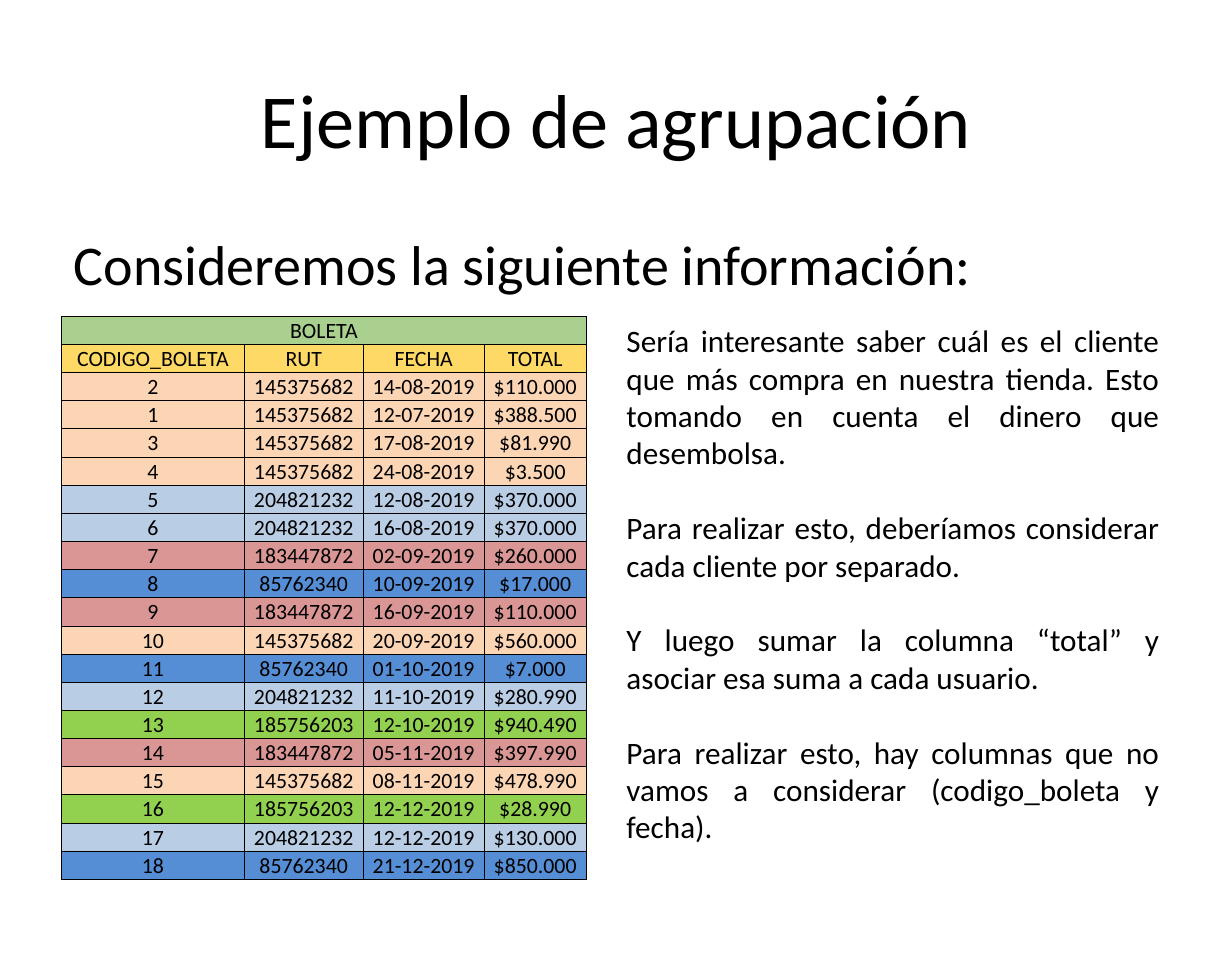
from lxml import etree
from pptx import Presentation
from pptx.dml.color import RGBColor
from pptx.enum.text import MSO_ANCHOR, MSO_AUTO_SIZE, PP_ALIGN
from pptx.oxml.ns import qn
from pptx.util import Inches, Pt

CENTER, JUSTIFY, LEFT = PP_ALIGN.CENTER, PP_ALIGN.JUSTIFY, PP_ALIGN.LEFT
MIDDLE, TOP = MSO_ANCHOR.MIDDLE, MSO_ANCHOR.TOP
NO_AUTOFIT = MSO_AUTO_SIZE.NONE

FONT = "Calibri"
BLACK = RGBColor(0x00, 0x00, 0x00)
TITLE_GREEN = RGBColor(0xA9, 0xD0, 0x8E)
HEADER_YELLOW = RGBColor(0xFF, 0xD9, 0x66)
PEACH = RGBColor(0xFC, 0xD5, 0xB5)
PALE_BLUE = RGBColor(0xB9, 0xCD, 0xE5)
ROSE = RGBColor(0xD9, 0x96, 0x94)
BLUE = RGBColor(0x55, 0x8E, 0xD5)
GREEN = RGBColor(0x92, 0xD0, 0x50)

TITLE = "Ejemplo de agrupación"
INTRO = "Consideremos la siguiente información:"
NOTES = [
    "Sería interesante saber cuál es el cliente que más compra en nuestra tienda. "
    "Esto tomando en cuenta el dinero que desembolsa.",
    "Para realizar esto, deberíamos considerar cada cliente por separado.",
    "Y luego sumar la columna “total” y asociar esa suma a cada usuario.",
    "Para realizar esto, hay columnas que no vamos a considerar (codigo_boleta y fecha).",
]
TABLE_TITLE = "BOLETA"
HEADERS = ("CODIGO_BOLETA", "RUT", "FECHA", "TOTAL")
RECEIPTS = [
    ("2", "145375682", "14-08-2019", "$110.000"),
    ("1", "145375682", "12-07-2019", "$388.500"),
    ("3", "145375682", "17-08-2019", "$81.990"),
    ("4", "145375682", "24-08-2019", "$3.500"),
    ("5", "204821232", "12-08-2019", "$370.000"),
    ("6", "204821232", "16-08-2019", "$370.000"),
    ("7", "183447872", "02-09-2019", "$260.000"),
    ("8", "85762340", "10-09-2019", "$17.000"),
    ("9", "183447872", "16-09-2019", "$110.000"),
    ("10", "145375682", "20-09-2019", "$560.000"),
    ("11", "85762340", "01-10-2019", "$7.000"),
    ("12", "204821232", "11-10-2019", "$280.990"),
    ("13", "185756203", "12-10-2019", "$940.490"),
    ("14", "183447872", "05-11-2019", "$397.990"),
    ("15", "145375682", "08-11-2019", "$478.990"),
    ("16", "185756203", "12-12-2019", "$28.990"),
    ("17", "204821232", "12-12-2019", "$130.000"),
    ("18", "85762340", "21-12-2019", "$850.000"),
]
CLIENT_COLORS = {
    "145375682": PEACH,
    "204821232": PALE_BLUE,
    "183447872": ROSE,
    "85762340": BLUE,
    "185756203": GREEN,
}
COLUMN_WIDTHS = (1.63, 1.06, 1.08, 0.91)
TABLE_HEIGHT = 5.03


def write(para, text, size, align):
    para.alignment = align
    span = para.add_run()
    span.text = text
    span.font.name = FONT
    span.font.size = Pt(size)
    span.font.color.rgb = BLACK


def fill_placeholder(box, place, text, size, align, anchor):
    box.left, box.top, box.width, box.height = map(Inches, place)
    frame = box.text_frame
    frame.auto_size = NO_AUTOFIT
    frame.vertical_anchor = anchor
    frame.margin_left = frame.margin_right = Inches(0.11)
    frame.margin_top = frame.margin_bottom = Inches(0.06)
    para = frame.paragraphs[0]
    para.space_before = Pt(0)
    write(para, text, size, align)
    return para


def remove_bullet(para):
    properties = para._p.get_or_add_pPr()
    properties.set("marL", "0")
    properties.set("indent", "0")
    etree.SubElement(properties, qn("a:buNone"))


def add_borders(cell):
    properties = cell._tc.get_or_add_tcPr()
    for position, side in enumerate(("lnL", "lnR", "lnT", "lnB")):
        line = etree.Element(qn("a:" + side), w=str(Pt(0.5)))
        solid = etree.SubElement(line, qn("a:solidFill"))
        etree.SubElement(solid, qn("a:srgbClr"), val=str(BLACK))
        properties.insert(position, line)


def format_cell(cell, text, color):
    cell.fill.solid()
    cell.fill.fore_color.rgb = color
    cell.vertical_anchor = MIDDLE
    cell.margin_left = cell.margin_right = cell.margin_top = Inches(0.01)
    cell.margin_bottom = 0
    add_borders(cell)
    write(cell.text_frame.paragraphs[0], text, 14, CENTER)


def add_receipts(page):
    rows = [((TABLE_TITLE, "", "", ""), TITLE_GREEN), (HEADERS, HEADER_YELLOW)]
    rows += [(receipt, CLIENT_COLORS[receipt[1]]) for receipt in RECEIPTS]
    table = page.shapes.add_table(
        len(rows), len(HEADERS), Inches(0.55), Inches(2.82),
        Inches(sum(COLUMN_WIDTHS)), Inches(TABLE_HEIGHT),
    ).table
    table.first_row = table.horz_banding = False
    for column, width in zip(table.columns, COLUMN_WIDTHS):
        column.width = Inches(width)
    for row_index, (values, color) in enumerate(rows):
        table.rows[row_index].height = Inches(TABLE_HEIGHT / len(rows))
        for column_index, value in enumerate(values):
            format_cell(table.cell(row_index, column_index), value, color)
    table.cell(0, 0).merge(table.cell(0, len(HEADERS) - 1))


def add_notes(page):
    box = page.shapes.add_textbox(Inches(5.49), Inches(2.82), Inches(4.95), Inches(4.81))
    frame = box.text_frame
    frame.word_wrap = True
    for index, note in enumerate(NOTES):
        para = frame.add_paragraph() if index else frame.paragraphs[0]
        if index:
            para.space_before = Pt(24)
        write(para, note, 20, JUSTIFY)


def main():
    deck = Presentation()
    deck.slide_width, deck.slide_height = Inches(10.99), Inches(8.51)
    page = deck.slides.add_slide(deck.slide_layouts[1])
    fill_placeholder(page.shapes.title, (0.55, 0.34, 9.89, 1.42), TITLE, 49, CENTER, MIDDLE)
    intro = fill_placeholder(page.placeholders[1], (0.55, 1.99, 9.89, 5.62), INTRO, 36, LEFT, TOP)
    remove_bullet(intro)
    add_receipts(page)
    add_notes(page)
    deck.save("out.pptx")


if __name__ == "__main__":
    main()
